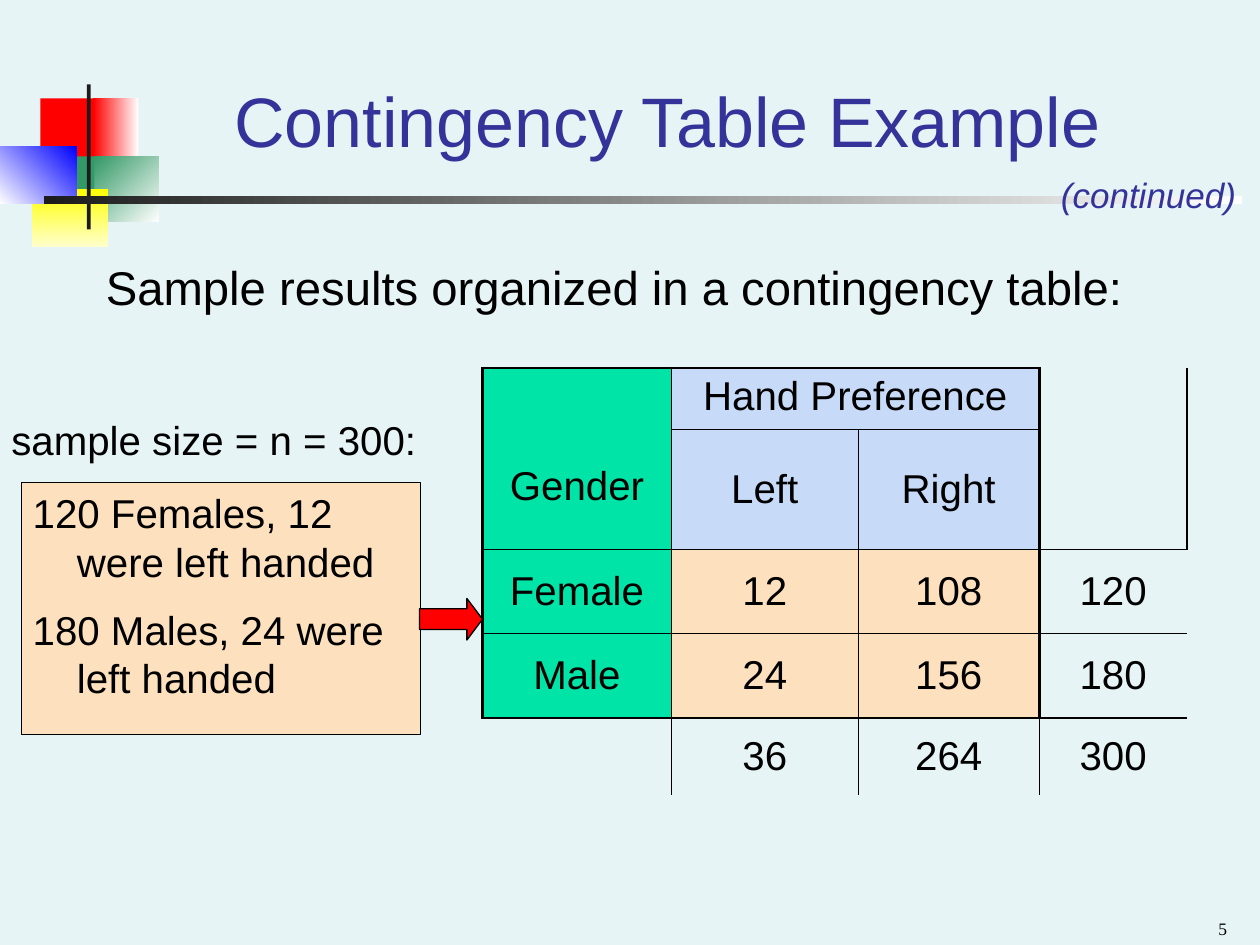
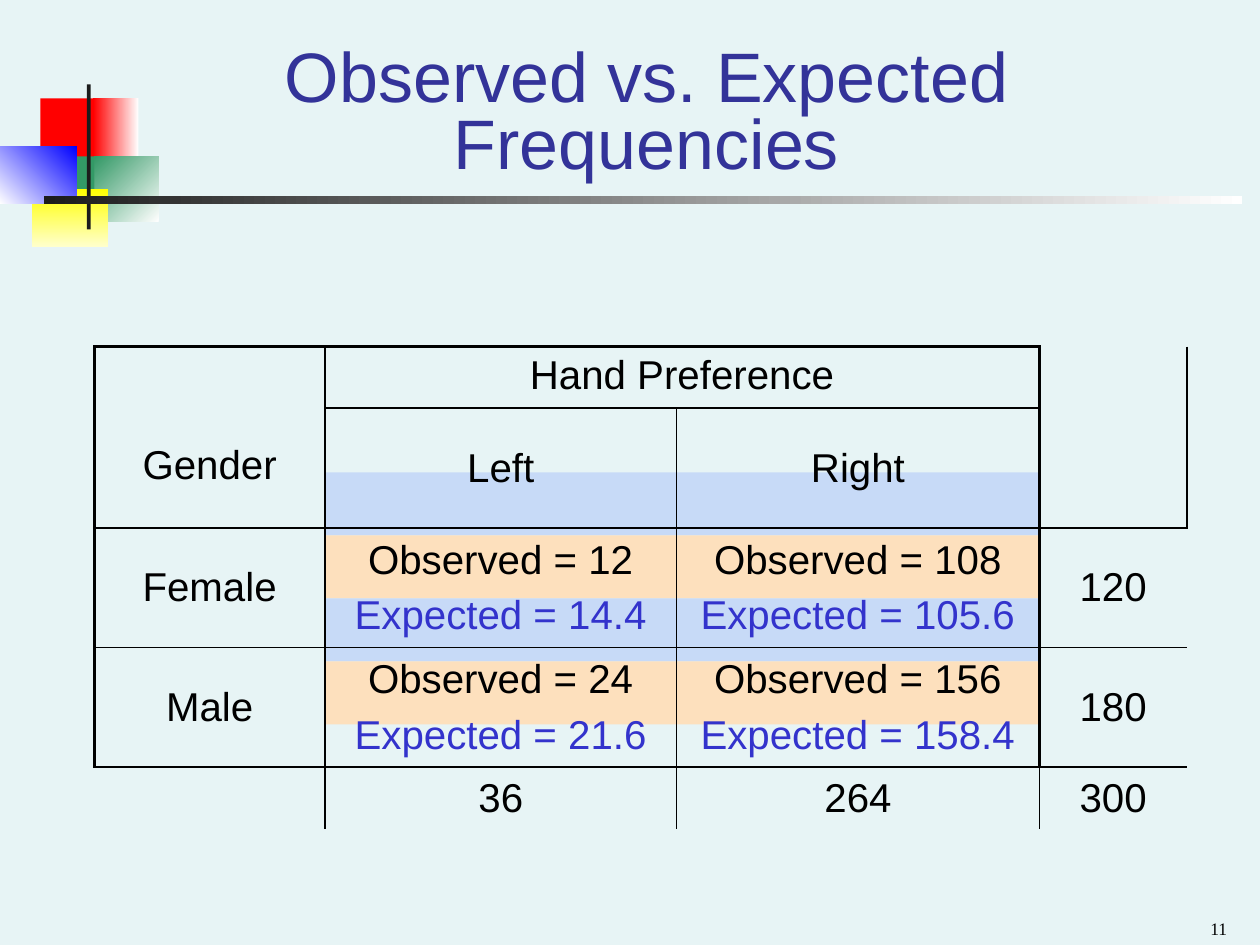
from dataclasses import dataclass

from lxml.etree import SubElement
from pptx import Presentation
from pptx.dml.color import RGBColor
from pptx.enum.shapes import MSO_SHAPE as Shape
from pptx.enum.text import MSO_ANCHOR as Anchor, MSO_AUTO_SIZE as AutoSize, PP_ALIGN as Align
from pptx.oxml.ns import qn
from pptx.util import Emu, Inches, Pt


@dataclass(frozen=True)
class Theme:
    # Colours
    page: str = "E7F4F5"
    title: str = "333399"
    ink: str = "000000"
    expected: str = "3333CC"
    peach: str = "FDE0BD"
    sky: str = "C7DAF7"
    mint: str = "00E4A8"
    red: str = "FF0000"
    green: str = "339966"
    blue: str = "0000FF"
    yellow: str = "FFFF00"
    cream: str = "FFFFCC"
    white: str = "FFFFFF"
    charcoal: str = "1C1C1C"
    # Fonts and type sizes in points
    font: str = "Arial"
    number_font: str = "Times New Roman"
    title_size: float = 40
    lead_size: float = 27
    text_size: float = 23
    note_size: float = 20
    number_size: float = 10
    # Spacing and line weights in points
    gap: float = 5.8
    frame_line: float = 1.47
    rule_line: float = 1.08
    hairline: float = 0.45
    outline: float = 0.74


THEME = Theme()
NO_GRID_STYLE = "{2D5ABB26-0587-4C30-8999-92F81FD0307C}"


def rgb(color):
    return RGBColor.from_string(color)


def write_text(frame, *lines, size=THEME.text_size, color=THEME.ink, font=THEME.font,
               italic=False, align=Align.LEFT, before=0, spacing=None, hanging=0,
               last_color=None):
    """Write one paragraph per line; last_color recolours the last of several."""
    for index, line in enumerate(lines):
        para = frame.paragraphs[0] if index == 0 else frame.add_paragraph()
        para.alignment, para.space_before = align, Pt(before)
        if spacing:
            para.line_spacing = spacing
        if hanging:
            properties = para._p.get_or_add_pPr()
            properties.set("marL", str(Inches(hanging)))
            properties.set("indent", str(-Inches(hanging)))
        span = para.add_run()
        span.text = line
        span.font.size, span.font.name, span.font.italic = Pt(size), font, italic
        is_recoloured = last_color and 0 < index == len(lines) - 1
        span.font.color.rgb = rgb(last_color if is_recoloured else color)


def place(shape, left, top, width, height):
    shape.left, shape.top = Inches(left), Inches(top)
    shape.width, shape.height = Inches(width), Inches(height)


def prepare_frame(frame, anchor=Anchor.TOP):
    frame.word_wrap, frame.auto_size = True, AutoSize.NONE
    frame.vertical_anchor = anchor
    frame.margin_left = frame.margin_right = Inches(0.09)
    frame.margin_top = frame.margin_bottom = Inches(0.05)


def add_text(page, area, *lines, anchor=Anchor.TOP, **style):
    box = page.shapes.add_textbox(*map(Inches, area))
    prepare_frame(box.text_frame, anchor)
    write_text(box.text_frame, *lines, **style)


def add_block(shapes, area, fill, kind=Shape.RECTANGLE, line=None):
    block = shapes.add_shape(kind, *map(Inches, area))
    block.shadow.inherit = False
    block.fill.solid()
    block.fill.fore_color.rgb = rgb(fill)
    if line:
        block.line.color.rgb, block.line.width = rgb(line), Pt(THEME.outline)
    else:
        block.line.fill.background()
    return block


def add_fade(shapes, area, start, end, clockwise):
    block = add_block(shapes, area, start)
    block.fill.gradient()
    block.fill.gradient_angle = 360 - clockwise
    for stop, color in zip(block.fill.gradient_stops, (start, end)):
        stop.color.rgb = rgb(color)


def add_motif(page, layout):
    """Draw the coloured squares and the title rule, then share them via the layout."""
    motif = page.shapes.add_group_shape()
    parts = motif.shapes
    add_block(parts, (0.32, 0.78, 0.48, 0.52), THEME.red)
    add_fade(parts, (0.74, 0.78, 0.36, 0.52), THEME.white, THEME.red, 180)
    add_fade(parts, (0.75, 1.24, 0.51, 0.52), THEME.white, THEME.green, 225)
    add_block(parts, (0.43, 1.24, 0.32, 0.52), THEME.green)
    add_fade(parts, (0.25, 1.5, 0.61, 0.46), THEME.yellow, THEME.cream, 90)
    add_fade(parts, (0, 1.16, 0.61, 0.46), THEME.blue, THEME.white, 135)
    add_block(parts, (0.69, 0.67, 0.03, 1.15), THEME.charcoal)
    add_fade(parts, (0.35, 1.56, 9.51, 0.06), THEME.white, THEME.charcoal, 180)
    layout.shapes.element.insert(2, motif.element)


def add_page(deck, layout, title, area, number, spacing=None):
    page = deck.slides.add_slide(layout)
    heading = page.shapes.title
    place(heading, *area)
    prepare_frame(heading.text_frame, Anchor.BOTTOM)
    write_text(heading.text_frame, title, size=THEME.title_size, color=THEME.title,
               align=Align.CENTER, spacing=spacing)
    add_text(page, (7.5, 7.15, 2.33, 0.35), str(number), anchor=Anchor.BOTTOM,
             size=THEME.number_size, font=THEME.number_font, align=Align.RIGHT)
    return page


def add_border(cell, side, weight):
    line = SubElement(cell._tc.get_or_add_tcPr(), qn(f"a:ln{side}"), w=str(Pt(weight)))
    fill = SubElement(line, qn("a:solidFill"))
    SubElement(fill, qn("a:srgbClr"), val=THEME.ink)


def rule_table(table, inner):
    """Frame the table body, and let the lines of the totals run past it."""
    frame, rule = THEME.frame_line, THEME.rule_line
    across = [[frame] * 3 + [0], [0, inner, inner, 0], [rule] * 4,
              [inner] * 4, [frame] * 3 + [rule], [0] * 4]
    down = [[frame] * 4 + [0], [rule] * 5, [0] + [inner] * 4,
            [frame] * 4 + [rule], [0] * 5]
    for row in range(5):
        for column in range(4):
            cell = table.cell(row, column)
            weights = {"L": down[column][row],
                       "R": down[column + cell.span_width][row],
                       "T": across[row][column],
                       "B": across[row + cell.span_height][column]}
            for side, weight in weights.items():
                if weight:
                    add_border(cell, side, weight)


def add_contingency_table(page, left, top, widths, heights, counts, inner, fills=None):
    """Build the gender by hand table; counts holds the four inner cells."""
    female, male = counts
    rows = [["Gender", "Hand Preference", "", ""],
            ["", "Left", "Right", ""],
            ["Female", *female, "120"],
            ["Male", *male, "180"],
            ["", "36", "264", "300"]]
    shape = page.shapes.add_table(5, 4, Inches(left), Inches(top),
                                  Inches(sum(widths)), Inches(sum(heights)))
    table = shape.table
    table.first_row = table.horz_banding = False
    table._tbl.tblPr.find(qn("a:tableStyleId")).text = NO_GRID_STYLE
    for column, width in zip(table.columns, widths):
        column.width = Inches(width)
    for row, height in zip(table.rows, heights):
        row.height = Inches(height)

    # Merged heads
    table.cell(0, 0).merge(table.cell(1, 0))
    table.cell(0, 1).merge(table.cell(0, 2))
    table.cell(0, 3).merge(table.cell(1, 3))
    rule_table(table, inner)

    for row, texts in enumerate(rows):
        for column, text in enumerate(texts):
            cell = table.cell(row, column)
            color = fills[row][column] if fills else None
            if color:
                cell.fill.solid()
                cell.fill.fore_color.rgb = rgb(color)
            else:
                cell.fill.background()
            if text:
                cell.vertical_anchor = Anchor.MIDDLE
                write_text(cell.text_frame, *text.split("\n"), align=Align.CENTER,
                           before=THEME.gap, last_color=THEME.expected)
    table.cell(0, 0).margin_top = Inches(0.5)
    table.cell(0, 1).vertical_anchor = Anchor.TOP


def build_example(deck, layout):
    page = add_page(deck, layout, "Contingency Table Example", (1.26, 0.25, 8.07, 1.08), 5)
    add_motif(page, layout)
    add_text(page, (0.75, 2, 8.67, 0.67), "Sample results organized in a contingency table:",
             size=THEME.lead_size, before=6.8, hanging=0.35)
    add_text(page, (8.33, 1.33, 1.67, 0.44), "(continued)", size=THEME.note_size,
             color=THEME.title, italic=True, before=12.5)

    # Table with coloured heads and counts
    head = [THEME.mint, THEME.sky, THEME.sky, None]
    body = [THEME.mint, THEME.peach, THEME.peach, None]
    add_contingency_table(page, 3.83, 2.92, (1.5, 1.48, 1.44, 1.17),
                          (0.49, 0.95, 0.67, 0.67, 0.61), (("12", "108"), ("24", "156")),
                          THEME.hairline, [head, head, body, body, [None] * 4])

    # Sample that feeds the table
    sample = add_block(page.shapes, (0.17, 3.83, 3.17, 2), THEME.peach, line=THEME.ink)
    prepare_frame(sample.text_frame)
    write_text(sample.text_frame, "120 Females, 12 were left handed",
               "180 Males, 24 were left handed", before=11.5, hanging=0.35)
    arrow = add_block(page.shapes, (3.33, 4.75, 0.5, 0.33), THEME.red,
                      Shape.RIGHT_ARROW, THEME.ink)
    arrow.adjustments[0], arrow.adjustments[1] = 0.5, 0.375
    add_text(page, (0, 3.25, 3.58, 0.58), "sample size = n = 300:",
             before=THEME.gap, hanging=0.35)


def build_comparison(deck, layout):
    page = add_page(deck, layout, "Observed vs. Expected Frequencies",
                    (1.26, 0.42, 7.74, 1.08), 11, spacing=0.8)

    # Alternating bands behind the table
    for index in range(4):
        add_block(page.shapes, (2.58, 3.75 + 0.5 * index, 5.67, 0.5),
                  THEME.peach if index % 2 else THEME.sky)

    pairs = ((("12", "14.4"), ("108", "105.6")), (("24", "21.6"), ("156", "158.4")))
    counts = [[f"Observed = {seen}\nExpected = {due}" for seen, due in row] for row in pairs]
    add_contingency_table(page, 0.75, 2.75, (1.83, 2.79, 2.88, 1.17),
                          (0.49, 0.95, 0.95, 0.95, 0.49), counts, THEME.rule_line)


def main():
    deck = Presentation()
    deck.slide_width, deck.slide_height = Inches(10), Inches(7.5)
    layout = deck.slide_layouts[5]
    layout.background.fill.solid()
    layout.background.fill.fore_color.rgb = rgb(THEME.page)
    build_example(deck, layout)
    build_comparison(deck, layout)
    deck.save("out.pptx")


main()
